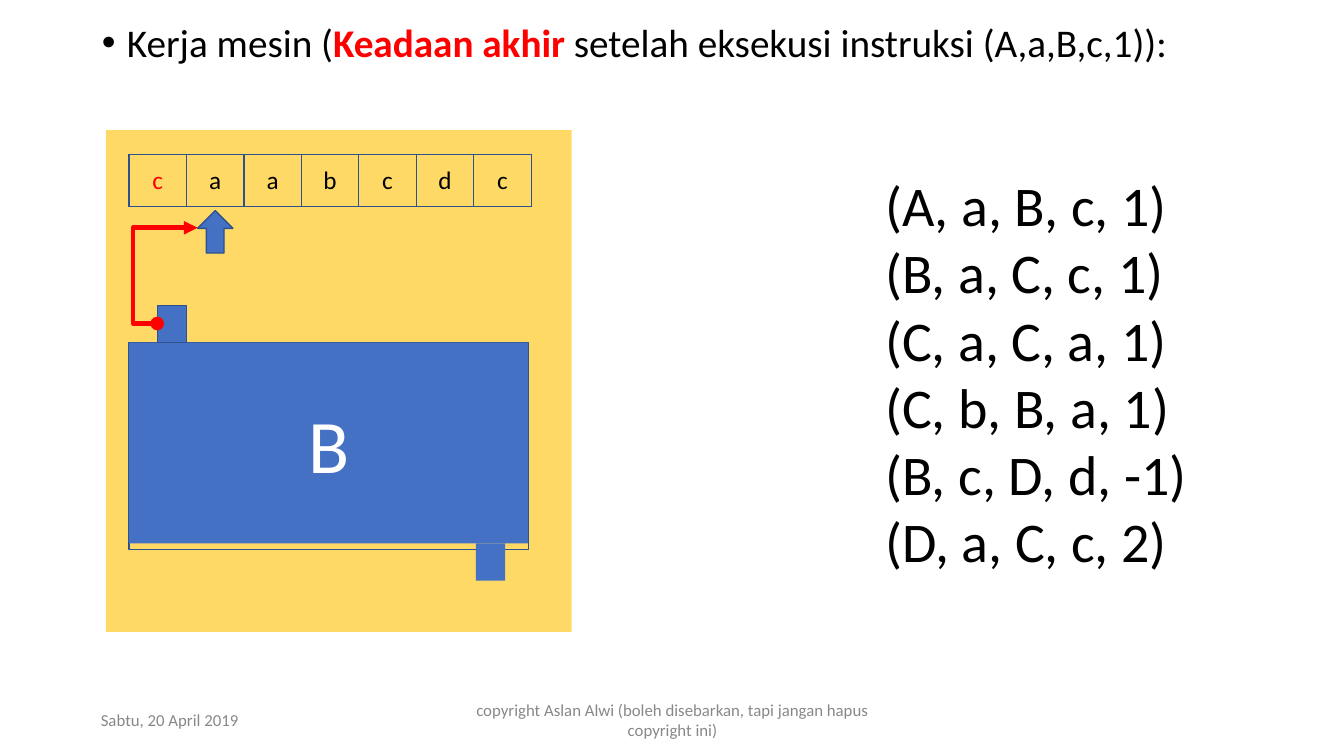
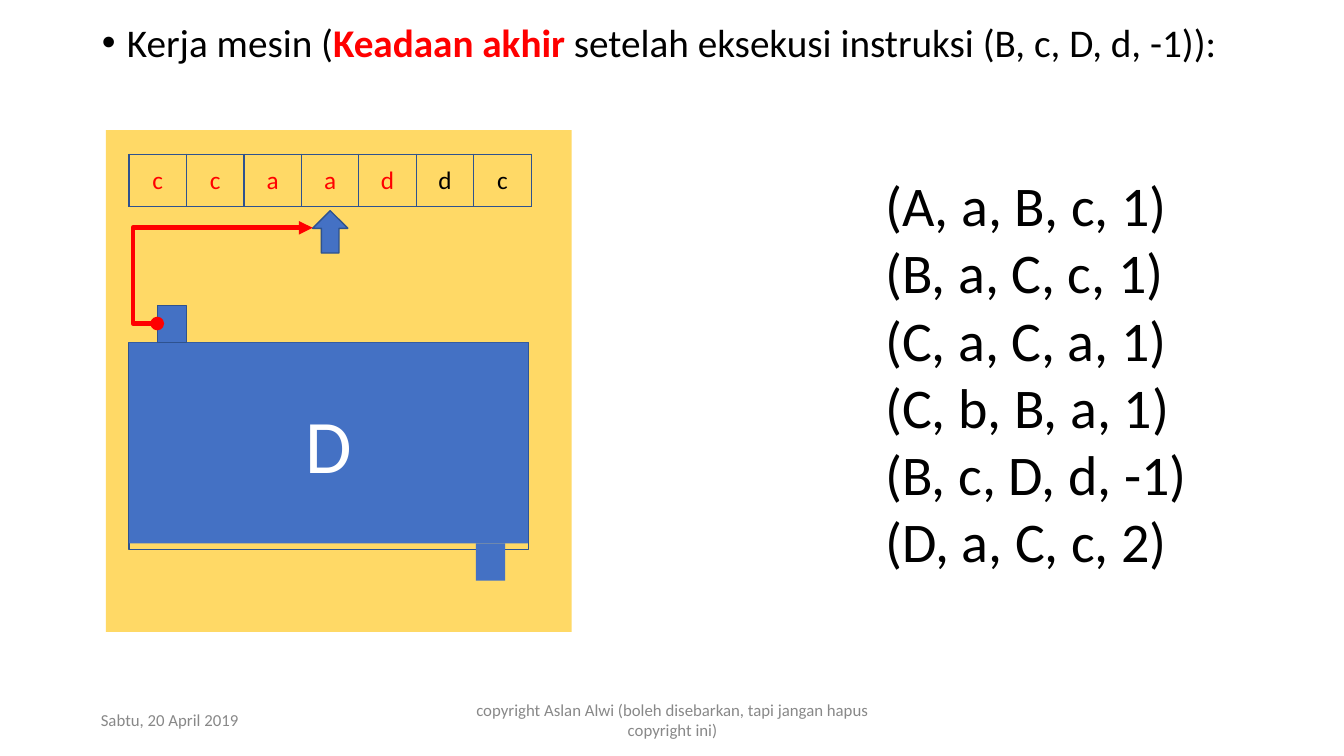
import pptx
import pptx.util
import pptx.dml.color
import pptx.enum.shapes
import pptx.enum.text
import pptx.oxml
import pptx.oxml.ns

Inches = pptx.util.Inches
Pt = pptx.util.Pt
RGBColor = pptx.dml.color.RGBColor
SHAPE = pptx.enum.shapes.MSO_SHAPE
ALIGN = pptx.enum.text.PP_ALIGN
ANCHOR = pptx.enum.text.MSO_ANCHOR

BLACK = RGBColor(0x00, 0x00, 0x00)
WHITE = RGBColor(0xFF, 0xFF, 0xFF)
RED = RGBColor(0xFF, 0x00, 0x00)
BLUE = RGBColor(0x44, 0x71, 0xC4)
NAVY = RGBColor(0x2E, 0x52, 0x8F)
GOLD = RGBColor(0xFF, 0xD9, 0x66)
GRAY = RGBColor(0x88, 0x88, 0x88)
FONT = "Calibri"

RULES = ["(A, a, B, c, 1)", "(B, a, C, c, 1)", "(C, a, C, a, 1)",
         "(C, b, B, a, 1)", "(B, c, D, d, -1)", "(D, a, C, c, 2)"]
# rule shown, tape, number of changed cells, head position, state
STEPS = [("(A,a,B,c,1)", "caabcdc", 1, 1, "B"),
         ("(B, c, D, d, -1)", "ccaaddc", 5, 3, "D")]


def tag(text):
    space = pptx.oxml.ns.nsdecls("a")
    return pptx.oxml.parse_xml(text.replace(" ", f" {space} ", 1))


def write(para, text, size, color=BLACK, bold=False):
    run = para.add_run()
    run.text = text
    font = run.font
    font.name, font.size, font.bold = FONT, Pt(size), bold
    font.color.rgb = color


def trim(frame, top=0, anchor=ANCHOR.TOP):
    """Clear the insets of a text frame and set its wrap and anchor."""
    frame.margin_left = frame.margin_right = frame.margin_bottom = 0
    frame.margin_top = Inches(top)
    frame.word_wrap = True
    frame.vertical_anchor = anchor


def text_box(slide, x, y, w, h, top=0):
    box = slide.shapes.add_textbox(Inches(x), Inches(y), Inches(w), Inches(h))
    trim(box.text_frame, top)
    return box.text_frame


def block(slide, x, y, w, h, fill=BLUE, line=None, kind=SHAPE.RECTANGLE):
    """Add a flat shape with an optional fill and outline."""
    part = slide.shapes.add_shape(kind, Inches(x), Inches(y),
                                  Inches(w), Inches(h))
    part.shadow.inherit = False
    if fill is None:
        part.fill.background()
    else:
        part.fill.solid()
        part.fill.fore_color.rgb = fill
    if line is None:
        part.line.fill.background()
    else:
        part.line.color.rgb = line
        part.line.width = Pt(1)
    return part


def heading(slide, x, y, w, h, rule):
    para = text_box(slide, x, y, w, h, 0.03).paragraphs[0]
    props = para._p.get_or_add_pPr()
    props.set("marL", str(Inches(0.26)))
    props.set("indent", str(Inches(-0.25)))
    props.append(tag('<a:buFont typeface="Arial"/>'))
    props.append(tag('<a:buChar char="•"/>'))
    write(para, "Kerja mesin (", 28)
    write(para, "Keadaan akhir ", 28, RED, True)
    write(para, f"setelah eksekusi instruksi {rule}):", 28)


def rules(slide, x, y, w, row):
    """List the rules, the first of them as the slide title."""
    title = slide.shapes.title
    title.left, title.top = Inches(x), Inches(y)
    title.width, title.height = Inches(w), Inches(row)
    trim(title.text_frame, 0.03)
    title.text_frame.auto_size = pptx.enum.text.MSO_AUTO_SIZE.NONE
    rest = text_box(slide, x, y + row, w, row * (len(RULES) - 1), 0.03)
    paras = [title.text_frame.paragraphs[0], rest.paragraphs[0]]
    paras += [rest.add_paragraph() for _ in RULES[2:]]
    for para, rule in zip(paras, RULES):
        para.alignment = ALIGN.LEFT
        write(para, rule, 40)


def tape(slide, x, y, cell, high, text, done):
    """Draw the tape, with its first done cells in red."""
    frame = slide.shapes.add_table(1, len(text), Inches(x), Inches(y),
                                   Inches(cell * len(text)), Inches(high))
    grid = frame.table
    grid.first_row = grid.horz_banding = False
    for i, sign in enumerate(text):
        grid.columns[i].width = Inches(cell)
        box = grid.cell(0, i)
        box.margin_left = box.margin_right = 0
        box.margin_top = box.margin_bottom = 0
        box.vertical_anchor = ANCHOR.MIDDLE
        for side in "LRTB":
            box._tc.get_or_add_tcPr().append(tag(
                f'<a:ln{side} w="{Pt(1)}"><a:solidFill>'
                f'<a:srgbClr val="{NAVY}"/></a:solidFill></a:ln{side}>'))
        box.fill.solid()
        box.fill.fore_color.rgb = GOLD
        para = box.text_frame.paragraphs[0]
        para.alignment = ALIGN.CENTER
        write(para, sign, 18, RED if i < done else BLACK)


def link(slide, x, y, end_x, end_y, lane):
    """Join two points by a red elbow arrow that bends at x = lane."""
    line = slide.shapes.add_connector(
        pptx.enum.shapes.MSO_CONNECTOR.ELBOW,
        Inches(x), Inches(y), Inches(end_x), Inches(end_y))
    line.line.color.rgb = RED
    line.line.width = Pt(3.25)
    props = line._element.spPr
    bend = round((lane - x) / (end_x - x) * 100000)
    shape = props.find(pptx.oxml.ns.qn("a:prstGeom"))
    for old in list(shape):
        shape.remove(old)
    shape.append(tag(f'<a:avLst ><a:gd name="adj1" fmla="val {bend}"/>'
                     '</a:avLst>'))
    stroke = line.line._get_or_add_ln()
    stroke.append(tag('<a:headEnd type="oval"/>'))
    stroke.append(tag('<a:tailEnd type="triangle"/>'))
    props.append(tag('<a:effectLst />'))


def machine(slide, x, y, w, h, text, done, head, state):
    block(slide, x, y, w, h, GOLD)
    left, cell = x + 0.23, 0.57
    tape(slide, left, y + 0.24, cell, 0.52, text, done)
    wide = 0.35
    tip = left + (head + 0.5) * cell - wide / 2
    block(slide, tip, y + 0.8, wide, 0.42, BLUE, NAVY, SHAPE.UP_ARROW)
    top = y + 2.11
    block(slide, left, top, 3.96, 2.05, None, NAVY)
    core = block(slide, left, top, 3.96, 1.99)
    trim(core.text_frame, anchor=ANCHOR.MIDDLE)
    para = core.text_frame.paragraphs[0]
    para.alignment = ALIGN.CENTER
    write(para, state, 54, WHITE)
    stub = left + 0.28
    block(slide, stub, top - 0.37, 0.29, 0.37, BLUE, NAVY)
    block(slide, left + 3.44, top + 1.99, 0.29, 0.37)
    link(slide, stub, top - 0.19, tip, y + 0.97, left + 0.04)


def footer(slide, x, y):
    note = text_box(slide, x + 3.71, y, 3.92, 0.4)
    lines = ["copyright Aslan Alwi (boleh disebarkan, tapi jangan hapus",
             "copyright ini)"]
    for para, text in zip([note.paragraphs[0], note.add_paragraph()], lines):
        para.alignment = ALIGN.CENTER
        write(para, text, 12, GRAY)
    date = text_box(slide, x, y + 0.1, 1.6, 0.19)
    write(date.paragraphs[0], "Sabtu, 20 April 2019", 12, GRAY)
    for frame in (note, date):
        frame.paragraphs[0].line_spacing = Pt(12.4)


def main():
    deck = pptx.Presentation()
    deck.slide_width, deck.slide_height = Inches(13.33), Inches(7.5)
    for rule, text, done, head, state in STEPS:
        slide = deck.slides.add_slide(deck.slide_layouts[5])
        heading(slide, 1, 0.15, 11.6, 0.5, rule)
        rules(slide, 8.78, 1.66, 3.2, 0.67)
        machine(slide, 1.05, 1.29, 4.62, 4.98, text, done, head, state)
        footer(slide, 1, 6.97)
    deck.save("out.pptx")


if __name__ == "__main__":
    main()
